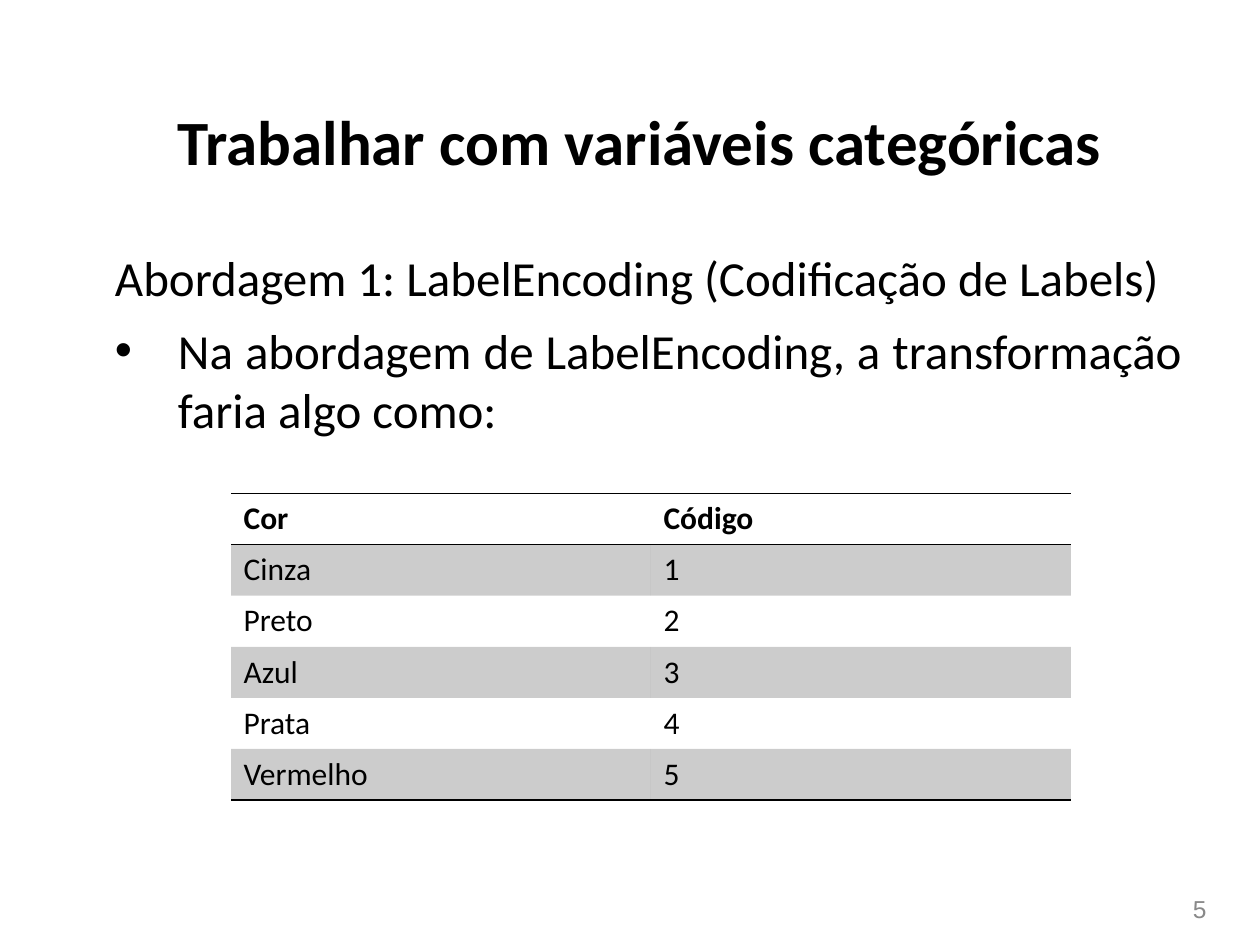
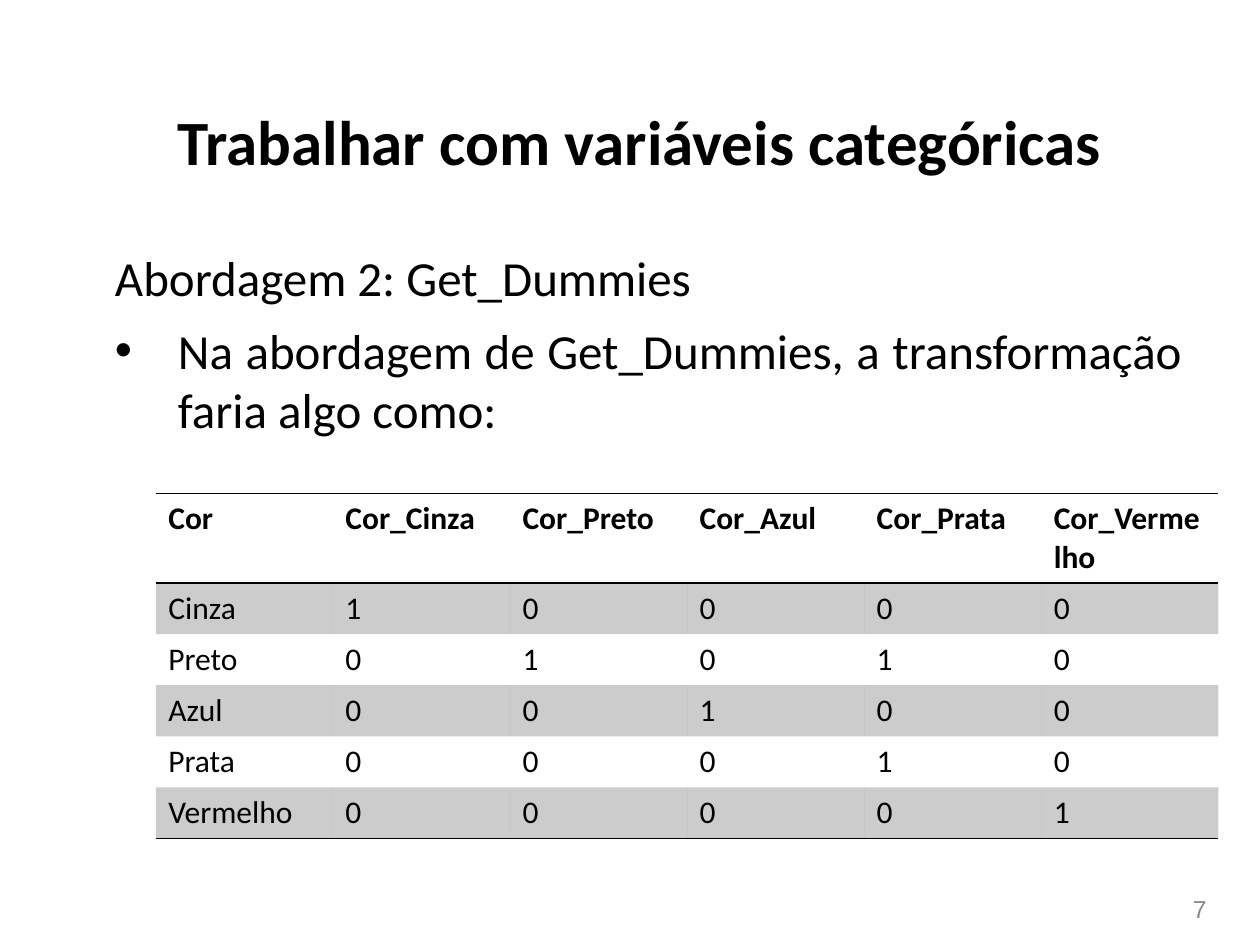
from lxml.etree import SubElement
from pptx import Presentation
from pptx.dml.color import RGBColor
from pptx.enum.text import MSO_ANCHOR, MSO_AUTO_SIZE, PP_ALIGN
from pptx.oxml.ns import qn
from pptx.util import Pt

BLACK = RGBColor(0x00, 0x00, 0x00)
GRAY = RGBColor(0x89, 0x89, 0x89)
BAND_OPACITY = 20
TEXT_FONT = "Calibri"
NUMBER_FONT = "Arial"
PLAIN_TABLE_STYLE = "{2D5ABB26-0587-4C30-8999-92F81FD0307C}"
TITLE = "Trabalhar com variáveis categóricas"
COLORS = ["Cinza", "Preto", "Azul", "Prata", "Vermelho"]
DUMMIES = ["10000", "01010", "00100", "00010", "00001"]


def write(paragraph, text, size, font=TEXT_FONT, color=BLACK, bold=False,
          align=PP_ALIGN.LEFT, before=0):
    paragraph.text = text
    paragraph.alignment = align
    paragraph.space_before = Pt(before)
    paragraph.font.name = font
    paragraph.font.size = Pt(size)
    paragraph.font.bold = bold
    paragraph.font.color.rgb = color


def set_bullet(paragraph, character=None, indent=0):
    properties = paragraph._p.get_or_add_pPr()
    properties.set("marL", str(Pt(indent)))
    properties.set("indent", str(-Pt(indent)))
    if character:
        SubElement(properties, qn("a:buFont"), typeface=NUMBER_FONT)
        SubElement(properties, qn("a:buChar"), char=character)
    else:
        SubElement(properties, qn("a:buNone"))


def add_border(cell, side):
    line = SubElement(cell._tc.get_or_add_tcPr(), qn(f"a:{side}"), w=str(Pt(1)))
    fill = SubElement(line, qn("a:solidFill"))
    SubElement(fill, qn("a:srgbClr"), val=str(BLACK))


def shade(cell):
    cell.fill.solid()
    cell.fill.fore_color.rgb = BLACK
    color = cell._tc.tcPr.find(qn("a:solidFill")).find(qn("a:srgbClr"))
    SubElement(color, qn("a:alpha"), val=str(BAND_OPACITY * 1000))


class Deck:
    def __init__(self):
        self.presentation = Presentation()
        self.presentation.slide_width = Pt(720)
        self.presentation.slide_height = Pt(540)
        self.slide = None

    def place(self, shape, left, top, width, height, anchor):
        shape.left, shape.top = Pt(left), Pt(top)
        shape.width, shape.height = Pt(width), Pt(height)
        frame = shape.text_frame
        frame.word_wrap = True
        frame.auto_size = MSO_AUTO_SIZE.NONE
        frame.vertical_anchor = anchor
        return frame

    def add_slide(self, number):
        layout = self.presentation.slide_layouts[1]
        self.slide = self.presentation.slides.add_slide(layout)
        self.add_title(TITLE)
        self.add_number(number)

    def add_title(self, text):
        frame = self.place(self.slide.shapes.title, 36, 49, 659, 62.5, MSO_ANCHOR.MIDDLE)
        write(frame.paragraphs[0], text, 36, bold=True, align=PP_ALIGN.CENTER)

    def add_number(self, number):
        box = self.slide.shapes.add_textbox(0, 0, 0, 0)
        frame = self.place(box, 528.5, 507, 168, 24, MSO_ANCHOR.MIDDLE)
        write(frame.paragraphs[0], str(number), 14, font=NUMBER_FONT, color=GRAY,
              align=PP_ALIGN.RIGHT)

    def add_body(self, heading, point):
        frame = self.place(self.slide.placeholders[1], 58.5, 138, 624, 120, MSO_ANCHOR.TOP)
        first, second = frame.paragraphs[0], frame.add_paragraph()
        set_bullet(first)
        write(first, heading, 28, align=PP_ALIGN.JUSTIFY)
        set_bullet(second, "•", 36)
        write(second, point, 28, align=PP_ALIGN.JUSTIFY, before=8)

    def add_table(self, rows, left, column_width, top=282, row_height=29.2):
        columns = len(rows[0])
        frame = self.slide.shapes.add_table(
            len(rows), columns, Pt(left), Pt(top),
            Pt(column_width * columns), Pt(row_height * len(rows)))
        table = frame.table
        table._tbl.tblPr.find(qn("a:tableStyleId")).text = PLAIN_TABLE_STYLE
        for column in table.columns:
            column.width = Pt(column_width)
        for row_index, values in enumerate(rows):
            is_header = row_index == 0
            for column_index, value in enumerate(values):
                cell = table.cell(row_index, column_index)
                write(cell.text_frame.paragraphs[0], value, 18, bold=is_header)
                if is_header:
                    add_border(cell, "lnT")
                if is_header or row_index == len(rows) - 1:
                    add_border(cell, "lnB")
                if row_index % 2:
                    shade(cell)
                else:
                    cell.fill.background()


def add_approach(deck, number, heading, method, rows, left, column_width):
    deck.add_slide(number)
    deck.add_body(heading, f"Na abordagem de {method}, a transformação faria algo como:")
    deck.add_table(rows, left, column_width)


def main():
    deck = Deck()
    codes = [["Cor", "Código"]]
    codes += [[color, str(code)] for code, color in enumerate(COLORS, 1)]
    add_approach(deck, 5, "Abordagem 1: LabelEncoding (Codificação de Labels)",
                 "LabelEncoding", codes, 132, 240)

    dummies = [["Cor"] + [f"Cor_{color}" for color in COLORS]]
    dummies += [[color, *flags] for color, flags in zip(COLORS, DUMMIES)]
    add_approach(deck, 7, "Abordagem 2: Get_Dummies", "Get_Dummies", dummies, 89, 101.2)

    deck.presentation.save("out.pptx")


if __name__ == "__main__":
    main()
